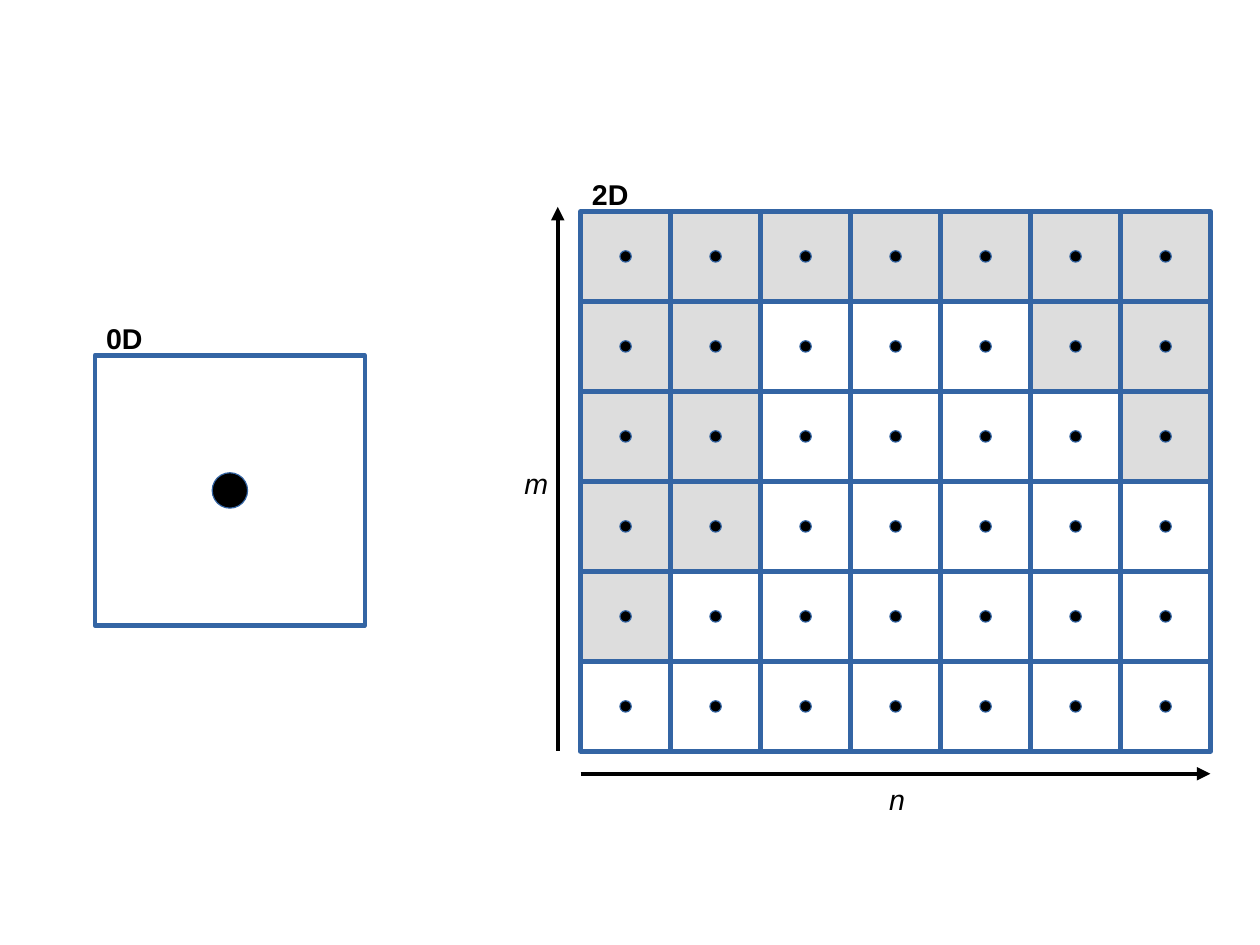
from pptx import Presentation
from pptx.dml.color import RGBColor
from pptx.enum.shapes import MSO_CONNECTOR as LINE, MSO_SHAPE as SHAPE
from pptx.oxml.ns import qn
from pptx.util import Inches, Pt
from lxml.etree import SubElement

# Content: "#" is a shaded cell, "." an empty one
GRID = [
    "#######",
    "##...##",
    "##....#",
    "##.....",
    "#......",
    ".......",
]
LABELS = [  # text, left, top, width, bold, italic
    ("n", 7.68, 6.79, 0.71, False, True),
    ("m", 4.49, 4.03, 0.71, False, True),
    ("0D", 0.83, 2.76, 1.81, True, False),
    ("2D", 5.08, 1.5, 1.81, True, False),
]
AXES = [  # start x, start y, end x, end y
    (5.08, 6.77, 10.59, 6.77),
    (4.88, 6.57, 4.88, 1.81),
]
COLORS = {"border": "3465A4", "shade": "DDDDDD", "ink": "000000"}

# Layout: the page is 28 by 21 cm, a grid cell 2 cm
CM = 1 / 2.54
PAGE_WIDTH, PAGE_HEIGHT = 28 * CM, 21 * CM
CELL_SIDE = 2 * CM
BOX_LEFT, BOX_TOP, BOX_SIDE, BOX_DOT = 0.83, 3.11, 3 * CELL_SIDE, 0.31
GRID_LEFT, GRID_TOP, CELL_DOT = 5.08, 1.85, 0.1
STROKE = 2.83


def color(name):
    return RGBColor.from_string(COLORS[name])


def add_outlined(kind, left, top, side, fill, stroke):
    outlined = slide.shapes.add_shape(
        kind, Inches(left), Inches(top), Inches(side), Inches(side))
    outlined.shadow.inherit = False
    if fill:
        outlined.fill.solid()
        outlined.fill.fore_color.rgb = color(fill)
    else:
        outlined.fill.background()
    outlined.line.color.rgb = color("border")
    outlined.line.width = Pt(stroke)


def add_cell(left, top, side, dot_side, fill=None):
    add_outlined(SHAPE.RECTANGLE, left, top, side, fill, STROKE)
    inset = (side - dot_side) / 2
    add_outlined(SHAPE.OVAL, left + inset, top + inset, dot_side, "ink", 0)


prs = Presentation()
prs.slide_width, prs.slide_height = Inches(PAGE_WIDTH), Inches(PAGE_HEIGHT)
slide = prs.slides.add_slide(prs.slide_layouts[6])

# Single 0D cell
add_cell(BOX_LEFT, BOX_TOP, BOX_SIDE, BOX_DOT)

# 2D grid of cells
for row, marks in enumerate(GRID):
    for column, mark in enumerate(marks):
        add_cell(GRID_LEFT + column * CELL_SIDE, GRID_TOP + row * CELL_SIDE,
                 CELL_SIDE, CELL_DOT, "shade" if mark == "#" else None)

# Axis arrows
for ends in AXES:
    axis = slide.shapes.add_connector(LINE.STRAIGHT, *map(Inches, ends))
    axis.line.color.rgb = color("ink")
    axis.line.width = Pt(STROKE)
    SubElement(axis.line._get_or_add_ln(), qn("a:tailEnd"), type="triangle")
    SubElement(axis._element.spPr, qn("a:effectLst"))

# Labels
for text, left, top, width, bold, italic in LABELS:
    label = slide.shapes.add_textbox(
        Inches(left), Inches(top), Inches(width), Inches(0.38))
    label.text_frame.word_wrap = True
    paragraph = label.text_frame.paragraphs[0]
    paragraph.text = text
    font = paragraph.font
    font.name, font.size = "Arial", Pt(18)
    font.bold, font.italic = bold, italic
    font.color.rgb = color("ink")

prs.save("out.pptx")
